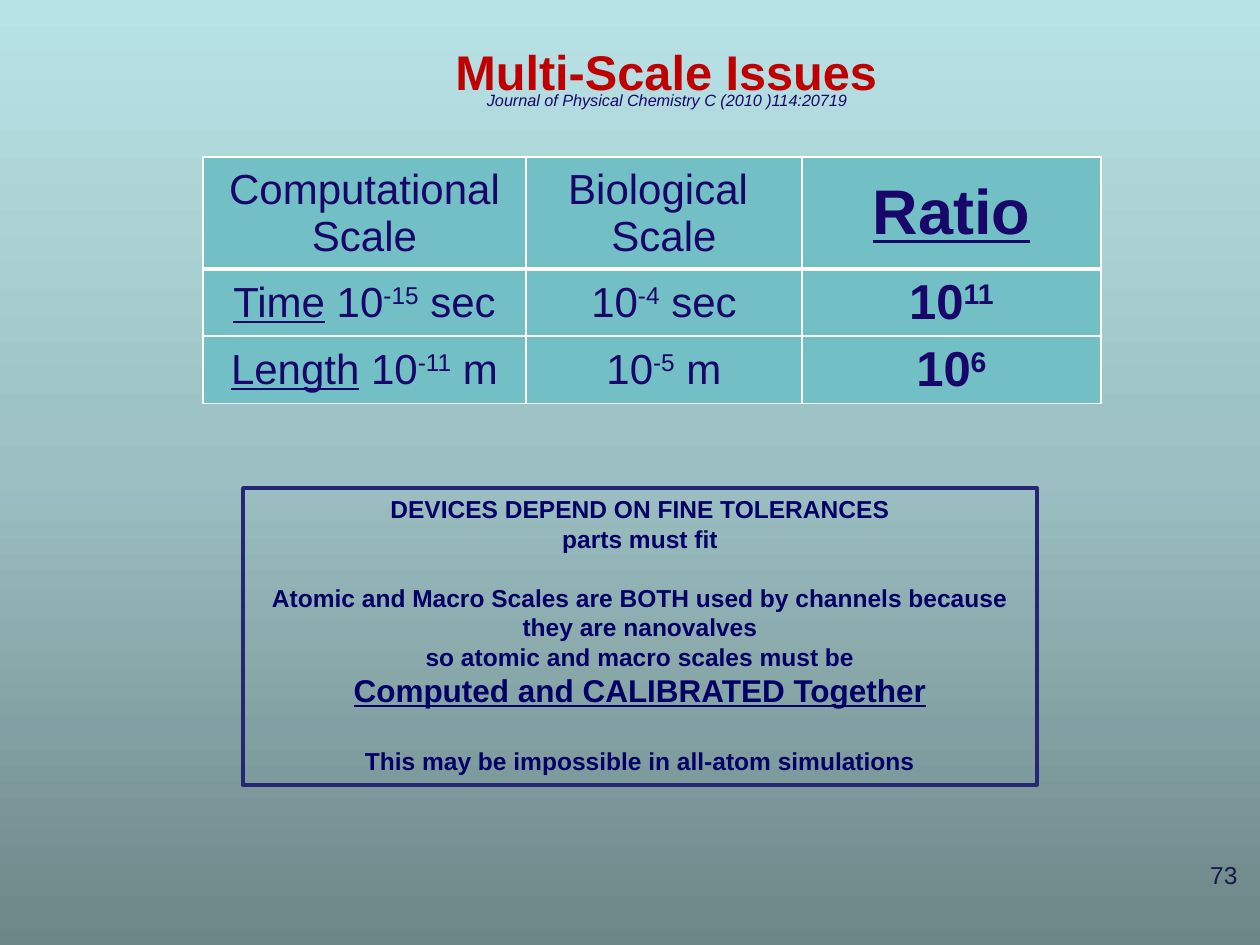
import copy

import lxml.etree
import pptx
import pptx.dml.color
import pptx.enum.shapes
import pptx.enum.text
import pptx.oxml.ns
import pptx.util

RGB = pptx.dml.color.RGBColor
ANCHOR = pptx.enum.text.MSO_ANCHOR
ALIGN = pptx.enum.text.PP_ALIGN
NAVY = RGB(0x19, 0x06, 0x6A)
RED = RGB(0xC0, 0x00, 0x00)
NOTE_BLUE = RGB(0x00, 0x00, 0x66)
FRAME_BLUE = RGB(0x26, 0x26, 0x73)
NUMBER_BLUE = RGB(0x19, 0x19, 0x4D)
TEAL = RGB(0x72, 0xBF, 0xC5)
WHITE = RGB(0xFF, 0xFF, 0xFF)
BACKGROUND = [(0, RGB(0x6D, 0x86, 0x88)), (0.5, RGB(0x9B, 0xBF, 0xC2)),
              (1, RGB(0xB8, 0xE3, 0xE6))]

TITLE = "Multi-Scale Issues"
CITATION = "Journal of Physical Chemistry C (2010 )114:20719"
PAGE_NUMBER = "73"

# Cells hold paragraphs; paragraphs hold (text, style) runs.
PLAIN, UNDER, SUPER = {}, {"underline": True}, {"raised": True}
BIG, BIG_SUPER = {"size": 28, "bold": True}, {"size": 28, "bold": True, "raised": True}
HEADING = {"size": 36, "bold": True, "underline": True}
SCALES = [
    [[[("Computational Scale", PLAIN)]],
     [[("Biological ", PLAIN)], [("Scale", PLAIN)]],
     [[("Ratio", HEADING)]]],
    [[[("Time", UNDER), (" 10", PLAIN), ("-15", SUPER), (" sec", PLAIN)]],
     [[("10", PLAIN), ("-4", SUPER), (" sec", PLAIN)]],
     [[("10", BIG), ("11", BIG_SUPER)]]],
    [[[("Length", UNDER), (" 10", PLAIN), ("-11", SUPER), (" m", PLAIN)]],
     [[("10", PLAIN), ("-5", SUPER), (" m", PLAIN)]],
     [[("10", BIG), ("6", BIG_SUPER)]]],
]
COLUMN_WIDTHS = [323, 276, 299]
ROW_HEIGHTS = [112, 66, 67]

# (text, size, underline, space before in points)
CONCLUSIONS = [
    ("DEVICES DEPEND ON FINE TOLERANCES", 14, False, 0),
    ("parts must fit", 14, False, 0),
    ("Atomic and Macro Scales are BOTH used by channels because they are nanovalves",
     14, False, 17),
    ("so atomic and macro scales must be", 14, False, 0),
    ("Computed and CALIBRATED Together", 18, True, 0),
    ("This may be impossible in all-atom simulations", 14, False, 21),
]


def px(*lengths):
    return [pptx.util.Emu(round(n * 914400 / 126)) for n in lengths]


def add_run(paragraph, text, size, color, bold=False, italic=False,
            underline=False, raised=False):
    run = paragraph.add_run()
    run.text = text
    font = run.font
    font.name, font.size = "Arial", pptx.util.Pt(size)
    font.bold, font.italic, font.underline = bold, italic, underline
    font.color.rgb = color
    if raised:
        run._r.get_or_add_rPr().set("baseline", "30000")


def fill_line(shape, text, size, color, align=ALIGN.CENTER, **style):
    """Put one unwrapped line of text at the top of a shape."""
    frame = shape.text_frame
    frame.word_wrap = False
    frame.auto_size = pptx.enum.text.MSO_AUTO_SIZE.NONE
    frame.vertical_anchor = ANCHOR.TOP
    frame.paragraphs[0].alignment = align
    add_run(frame.paragraphs[0], text, size, color, **style)


def paint_background(slide):
    fill = slide.background.fill
    fill.gradient()
    fill.gradient_angle = 90
    stops = slide.element.xpath(".//a:gsLst")[0]
    stops.append(copy.deepcopy(stops[-1]))
    for stop, (position, color) in zip(fill.gradient_stops, BACKGROUND):
        stop.position = position
        stop.color.rgb = color


def set_borders(cell, widths):
    """Draw white borders; widths maps L, R, T, B to points."""
    properties = cell._tc.get_or_add_tcPr()
    qn = pptx.oxml.ns.qn
    for index, (side, width) in enumerate(widths.items()):
        line = lxml.etree.Element(qn(f"a:ln{side}"), w=str(pptx.util.Pt(width)))
        solid = lxml.etree.SubElement(line, qn("a:solidFill"))
        lxml.etree.SubElement(solid, qn("a:srgbClr"), val=str(WHITE))
        properties.insert(index, line)


def add_scales(slide):
    table = slide.shapes.add_table(
        len(ROW_HEIGHTS), len(COLUMN_WIDTHS),
        *px(203, 157, sum(COLUMN_WIDTHS), sum(ROW_HEIGHTS))).table
    for column, width in zip(table.columns, px(*COLUMN_WIDTHS)):
        column.width = width
    for row, height in zip(table.rows, px(*ROW_HEIGHTS)):
        row.height = height
    for r, row in enumerate(SCALES):
        for c, paragraphs in enumerate(row):
            cell = table.cell(r, c)
            cell.fill.solid()
            cell.fill.fore_color.rgb = TEAL
            cell.vertical_anchor = ANCHOR.MIDDLE
            set_borders(cell, {"L": 1, "R": 1, "T": 3 if r == 1 else 1,
                               "B": 3 if r == 0 else 1})
            frame = cell.text_frame
            for i, runs in enumerate(paragraphs):
                paragraph = frame.add_paragraph() if i else frame.paragraphs[0]
                paragraph.alignment = ALIGN.CENTER
                for text, style in runs:
                    add_run(paragraph, text, **{"size": 24, "color": NAVY, **style})


def add_conclusions(slide):
    panel = slide.shapes.add_shape(
        pptx.enum.shapes.MSO_SHAPE.RECTANGLE, *px(243, 488, 794, 297))
    panel.shadow.inherit = False
    panel.fill.background()
    panel.line.color.rgb = FRAME_BLUE
    panel.line.width = pptx.util.Pt(2)
    frame = panel.text_frame
    frame.word_wrap = True
    frame.vertical_anchor = ANCHOR.TOP
    for i, (text, size, underline, gap) in enumerate(CONCLUSIONS):
        paragraph = frame.add_paragraph() if i else frame.paragraphs[0]
        paragraph.alignment = ALIGN.CENTER
        if gap:
            paragraph.space_before = pptx.util.Pt(gap)
        add_run(paragraph, text, size, NOTE_BLUE, bold=True, underline=underline)


def main():
    deck = pptx.Presentation()
    deck.slide_width, deck.slide_height = px(1260, 945)
    slide = deck.slides.add_slide(deck.slide_layouts[5])
    paint_background(slide)

    title = slide.shapes.title
    title.left, title.top, title.width, title.height = px(379, 25, 575, 71)
    fill_line(title, TITLE, 48, RED, bold=True, raised=True)
    citation = slide.shapes.add_textbox(*px(445, 81, 444, 35))
    fill_line(citation, CITATION, 16, NAVY, italic=True, raised=True)

    add_scales(slide)
    add_conclusions(slide)
    number = slide.shapes.add_textbox(*px(1096, 854, 154, 66))
    fill_line(number, PAGE_NUMBER, 14, NUMBER_BLUE, align=ALIGN.RIGHT)
    number.text_frame.word_wrap = True
    deck.save("out.pptx")


if __name__ == "__main__":
    main()
